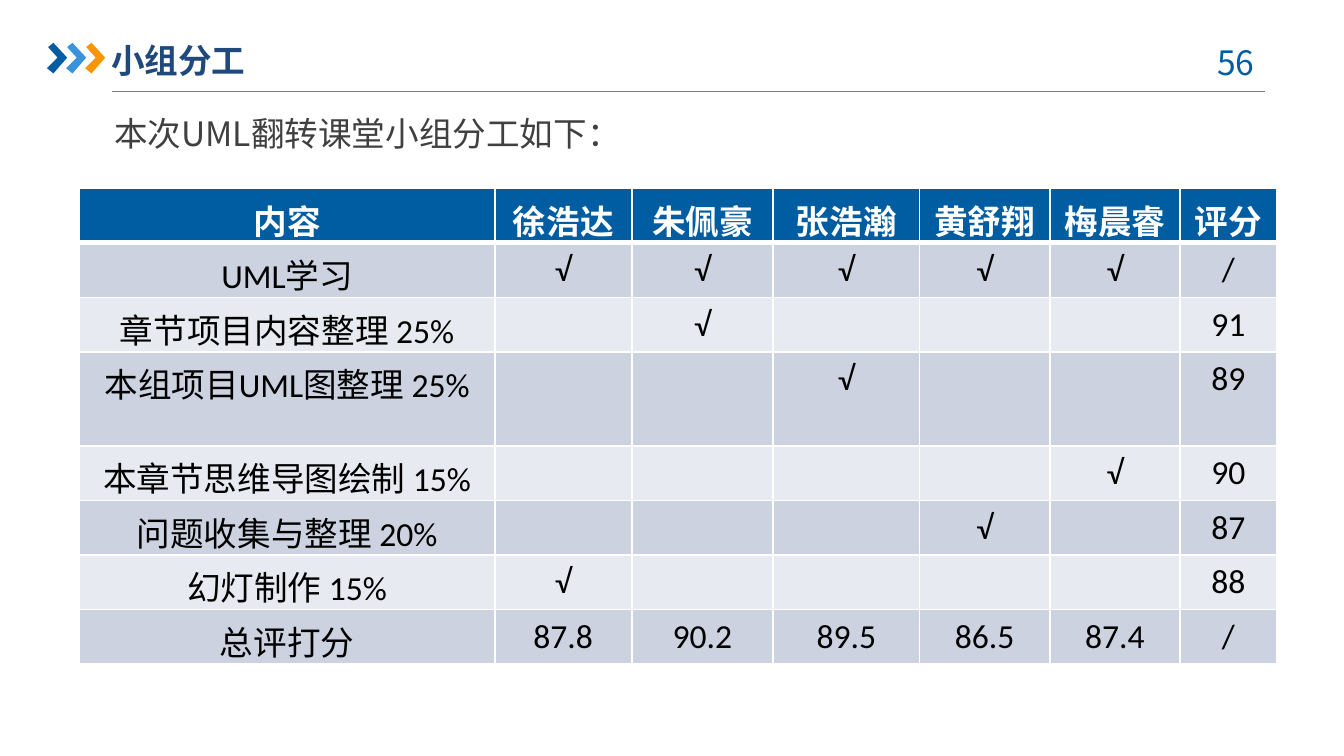
from dataclasses import dataclass

from lxml.etree import SubElement
from pptx import Presentation
from pptx.dml.color import RGBColor
from pptx.enum.shapes import MSO_CONNECTOR
from pptx.enum.text import MSO_ANCHOR, PP_ALIGN
from pptx.oxml.ns import qn
from pptx.slide import Slide
from pptx.table import _Cell
from pptx.text.text import TextFrame
from pptx.util import Cm, Pt

COLOURS = {
    "blue": "005DA2",
    "light_blue": "3992DB",
    "orange": "F79600",
    "title": "1F497D",
    "body": "404040",
    "rule": "808080",
    "odd_row": "CCD2E0",
    "even_row": "E7EAF0",
    "white": "FFFFFF",
    "black": "000000",
}
SANS = "Noto Sans CJK SC"

CHEVRON_OUTLINE = [(0.02, 0.08), (0.12, 0), (0.38, 0.28), (0.12, 0.58), (0, 0.48), (0.2, 0.28)]
CHEVRON_LEFT, CHEVRON_TOP, CHEVRON_STEP = 0.89, 0.81, 0.36

COLUMN_WIDTHS = [7.85, 2.59, 2.67, 2.77, 2.46, 2.46, 1.83]
ROW_HEIGHT = 1.03
MEMBERS = ["徐浩达", "朱佩豪", "张浩瀚", "黄舒翔", "梅晨睿"]


@dataclass(frozen=True)
class Label:
    text: str
    left: float
    top: float
    width: float
    height: float
    colour: str
    bold: bool = False
    align: PP_ALIGN = PP_ALIGN.CENTER
    anchor: MSO_ANCHOR = MSO_ANCHOR.TOP
    side_inset: float = 0.25
    line_spacing: float = 1.0


@dataclass(frozen=True)
class Task:
    name: str
    doers: tuple[str, ...]
    score: str

    def row(self) -> list[str]:
        ticks = ["√" if member in self.doers else "" for member in MEMBERS]
        return [self.name, *ticks, self.score]


LABELS = [
    Label("56 ", 22.5, 0.66, 1.85, 1.02, "blue"),
    Label("小组分工", 1.91, 0.61, 2.92, 1.07, "title", bold=True,
          anchor=MSO_ANCHOR.MIDDLE, side_inset=0),
    Label("本次UML翻转课堂小组分工如下：", 1.91, 1.63, 10.59, 1.27, "body",
          align=PP_ALIGN.LEFT, line_spacing=1.5),
]

TASKS = [
    Task("UML学习", tuple(MEMBERS), "/"),
    Task("章节项目内容整理 25%", ("朱佩豪",), "91"),
    Task("本组项目UML图整理 25%", ("张浩瀚",), "89"),
    Task("本章节思维导图绘制 15%", ("梅晨睿",), "90"),
    Task("问题收集与整理 20%", ("黄舒翔",), "87"),
    Task("幻灯制作 15%", ("徐浩达",), "88"),
]
TOTALS = ["总评打分", "87.8", "90.2", "89.5", "86.5", "87.4", "/"]


def rgb(name: str) -> RGBColor:
    return RGBColor.from_string(COLOURS[name])


def write(frame: TextFrame, text: str, *, colour: str, font: str, bold: bool = False,
          align: PP_ALIGN = PP_ALIGN.CENTER, line_spacing: float = 1.0) -> None:
    paragraph = frame.paragraphs[0]
    paragraph.alignment = align
    paragraph.line_spacing = line_spacing
    run = paragraph.add_run()
    run.text = text
    run.font.name = font
    run.font.size = Pt(18)
    run.font.bold = bold
    run.font.color.rgb = rgb(colour)
    if font == SANS:
        SubElement(run.font._element, qn("a:ea"), typeface=font)


def add_label(slide: Slide, label: Label) -> None:
    box = slide.shapes.add_textbox(Cm(label.left), Cm(label.top), Cm(label.width), Cm(label.height))
    frame = box.text_frame
    frame.word_wrap = True
    frame.vertical_anchor = label.anchor
    frame.margin_left = frame.margin_right = Cm(label.side_inset)
    write(frame, label.text, colour=label.colour, font=SANS, bold=label.bold,
          align=label.align, line_spacing=label.line_spacing)


def add_chevron(slide: Slide, left: float, colour: str) -> None:
    points = [(Cm(left + x), Cm(CHEVRON_TOP + y)) for x, y in CHEVRON_OUTLINE]
    builder = slide.shapes.build_freeform(*points[0])
    builder.add_line_segments(points[1:], close=True)
    chevron = builder.convert_to_shape()
    chevron.shadow.inherit = False
    chevron.fill.solid()
    chevron.fill.fore_color.rgb = rgb(colour)
    chevron.line.fill.background()


def add_title_rule(slide: Slide) -> None:
    rule = slide.shapes.add_connector(MSO_CONNECTOR.STRAIGHT, Cm(2.11), Cm(1.73), Cm(23.9), Cm(1.73))
    rule.line.color.rgb = rgb("rule")
    rule.line.width = Pt(0.75)
    SubElement(rule._element.spPr, qn("a:effectLst"))


def style_cell(cell: _Cell, fill: str, top: float, bottom: float) -> None:
    """Give the cell white borders, widths in points, and then its fill."""
    properties = cell._tc.get_or_add_tcPr()
    for side, width in {"L": 1, "R": 1, "T": top, "B": bottom}.items():
        border = SubElement(properties, qn(f"a:ln{side}"), w=str(Pt(width)))
        paint = SubElement(border, qn("a:solidFill"))
        SubElement(paint, qn("a:srgbClr"), val=COLOURS["white"])
    cell.fill.solid()
    cell.fill.fore_color.rgb = rgb(fill)


def add_work_table(slide: Slide) -> None:
    rows = [["内容", *MEMBERS, "评分"], *(task.row() for task in TASKS), TOTALS]
    table = slide.shapes.add_table(
        len(rows), len(COLUMN_WIDTHS), Cm(1.5), Cm(3.56),
        Cm(sum(COLUMN_WIDTHS)), Cm(ROW_HEIGHT * len(rows))).table
    for column, width in zip(table.columns, COLUMN_WIDTHS):
        column.width = Cm(width)
    for r, texts in enumerate(rows):
        table.rows[r].height = Cm(ROW_HEIGHT)
        header = r == 0
        fill = "blue" if header else "odd_row" if r % 2 else "even_row"
        for c, text in enumerate(texts):
            cell = table.cell(r, c)
            style_cell(cell, fill, top=3 if r == 1 else 1, bottom=3 if header else 1)
            if text:
                write(cell.text_frame, text, colour="white" if header else "black",
                      font="Calibri", bold=header)


def main() -> None:
    presentation = Presentation()
    presentation.slide_width = Cm(25.4)
    presentation.slide_height = Cm(14.29)
    slide = presentation.slides.add_slide(presentation.slide_layouts[6])
    add_title_rule(slide)
    for i, colour in enumerate(["blue", "light_blue", "orange"]):
        add_chevron(slide, CHEVRON_LEFT + i * CHEVRON_STEP, colour)
    for label in LABELS:
        add_label(slide, label)
    add_work_table(slide)
    presentation.save("out.pptx")


if __name__ == "__main__":
    main()
